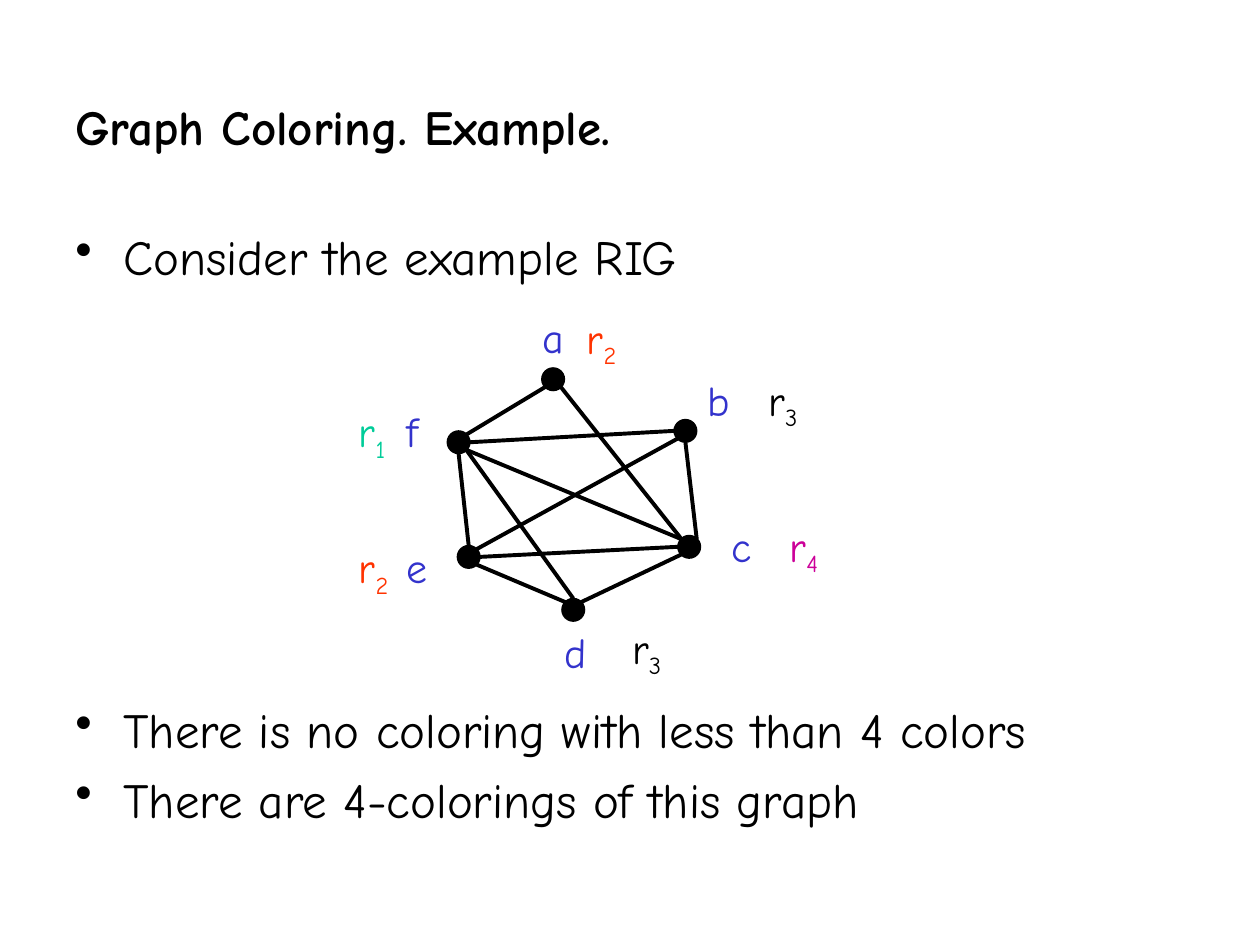
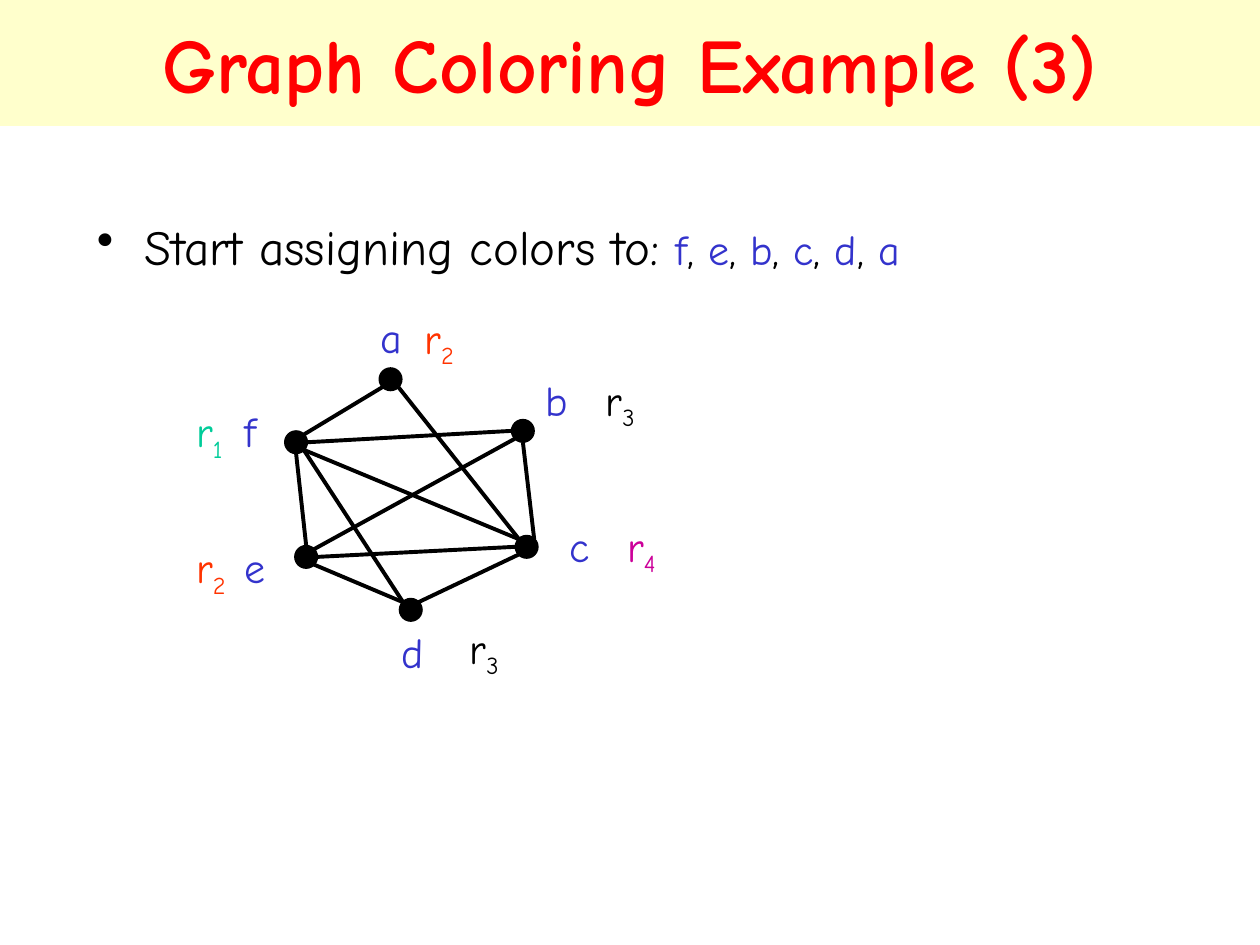
from collections import namedtuple

from pptx import Presentation
from pptx.dml.color import RGBColor
from pptx.enum.shapes import MSO_CONNECTOR as Connector, MSO_SHAPE as Shape
from pptx.enum.text import MSO_ANCHOR as Anchor, PP_ALIGN as Align
from pptx.oxml.ns import qn
from pptx.util import Inches, Pt
from lxml.etree import SubElement

FONT = "Comic Neue"
COLORS = {
    "ink": "000000", "node": "3333CC", "title": "FF0000", "band": "FFFFCC",
    "r1": "00CC99", "r2": "FF3300", "r3": "000000", "r4": "CC0099",
}
BODY_SIZE, LABEL_SIZE = 28, 24
DOT = 0.17
SITE_RADIUS = 0.09
DIAGONAL = 0.06
SITES = {
    "N": (0, -SITE_RADIUS), "S": (0, SITE_RADIUS),
    "W": (-SITE_RADIUS, 0), "E": (SITE_RADIUS, 0),
    "NW": (-DIAGONAL, -DIAGONAL), "NE": (DIAGONAL, -DIAGONAL),
    "SW": (-DIAGONAL, DIAGONAL), "SE": (DIAGONAL, DIAGONAL),
}

Box = namedtuple("Box", "left top width height")
Node = namedtuple("Node", "center letter_at register register_at")

NODES = {
    "a": Node((1.64, 0.59), (1.46, 0), "r2", (1.81, 0.01)),
    "b": Node((2.69, 1.0), (2.77, 0.5), "r3", (3.25, 0.5)),
    "c": Node((2.72, 1.92), (2.96, 1.66), "r4", (3.42, 1.66)),
    "d": Node((1.8, 2.42), (1.63, 2.5), "r3", (2.17, 2.47)),
    "e": Node((0.97, 2.0), (0.38, 1.83), "r2", (0, 1.83)),
    "f": Node((0.89, 1.09), (0.38, 0.75), "r1", (0, 0.75)),
}
EDGES = [
    ("c", "SW", "d", "NE"), ("a", "SE", "c", "NW"), ("b", "S", "c", "NE"),
    ("b", "W", "f", "E"), ("b", "SW", "e", "NE"), ("c", "W", "e", "E"),
    ("a", "SW", "f", "NE"), ("d", "NW", "e", "SE"), ("e", "N", "f", "S"),
    ("c", "NW", "f", "SE"),
]


def color(name):
    """Look up a named colour."""
    return RGBColor.from_string(COLORS[name])


def inches(*values):
    """Convert several numbers to lengths."""
    return [Inches(value) for value in values]


def add_span(para, text, size, color_name="ink", bold=False):
    """Append a styled run to a paragraph."""
    span = para.add_run()
    span.text = text
    span.font.name = FONT
    span.font.size = Pt(size)
    span.font.bold = bold
    span.font.color.rgb = color(color_name)
    return span


def add_text_box(page, box):
    """Add an empty wrapping text box and return its frame."""
    frame = page.shapes.add_textbox(*inches(*box)).text_frame
    frame.word_wrap = True
    return frame


def add_bullets(page, box, items):
    """Add bulleted paragraphs, each a list of (text, size, colour) spans."""
    frame = add_text_box(page, box)
    for index, item in enumerate(items):
        para = frame.add_paragraph() if index else frame.paragraphs[0]
        para.space_before = Pt(6.5)
        properties = para._p.get_or_add_pPr()
        properties.set("marL", str(Inches(0.38)))
        properties.set("indent", str(-Inches(0.38)))
        SubElement(properties, qn("a:buChar")).set("char", "•")
        for text, size, color_name in item:
            add_span(para, text, size, color_name)


def add_plain_title(page, box, text):
    """Add a left-aligned title without a band."""
    frame = add_text_box(page, box)
    frame.vertical_anchor = Anchor.MIDDLE
    add_span(frame.paragraphs[0], text, BODY_SIZE, bold=True)


def add_title_band(page, box, text):
    """Add a centred title on a coloured band."""
    band = page.shapes.add_shape(Shape.RECTANGLE, *inches(*box))
    band.shadow.inherit = False
    band.fill.solid()
    band.fill.fore_color.rgb = color("band")
    band.line.fill.background()
    band.text_frame.vertical_anchor = Anchor.MIDDLE
    para = band.text_frame.paragraphs[0]
    para.alignment = Align.CENTER
    add_span(para, text, 44, "title", bold=True)


def add_edge(page, box, start, start_site, end, end_site):
    """Draw a line between the rim points of two nodes."""
    points = []
    for name, site in ((start, start_site), (end, end_site)):
        x, y = NODES[name].center
        dx, dy = SITES[site]
        points += [box.left + x + dx, box.top + y + dy]
    edge = page.shapes.add_connector(Connector.STRAIGHT, *inches(*points))
    edge.line.color.rgb = color("ink")
    edge.line.width = Pt(2.25)
    SubElement(edge._element.spPr, qn("a:effectLst"))


def add_node(page, box, letter, node):
    """Draw a node with its letter and assigned register."""
    x, y = node.center
    dot = page.shapes.add_shape(
        Shape.OVAL, *inches(box.left + x - DOT / 2, box.top + y - DOT / 2, DOT, DOT))
    dot.shadow.inherit = False
    dot.fill.solid()
    dot.fill.fore_color.rgb = color("ink")
    dot.line.color.rgb = color("ink")
    dot.line.width = Pt(1.5)

    x, y = node.letter_at
    frame = add_text_box(page, Box(box.left + x, box.top + y, 0.4, 0.5))
    add_span(frame.paragraphs[0], letter, LABEL_SIZE, "node")

    x, y = node.register_at
    frame = add_text_box(page, Box(box.left + x, box.top + y, 0.5, 0.5))
    para = frame.paragraphs[0]
    name, number = node.register
    add_span(para, name, LABEL_SIZE, node.register)
    subscript = add_span(para, number, LABEL_SIZE, node.register)
    subscript._r.get_or_add_rPr().set("baseline", "-25000")


def add_graph(page, box, d_site):
    """Draw the colored interference graph, joining f to d at the given site."""
    for edge in EDGES + [("d", d_site, "f", "SE")]:
        add_edge(page, box, *edge)
    for letter, node in NODES.items():
        add_node(page, box, letter, node)


def build_example(page):
    """Build the slide that introduces the example."""
    add_plain_title(page, Box(0.5, 0.5, 8.83, 1), "Graph Coloring. Example.")
    add_bullets(page, Box(0.5, 1.75, 9.08, 0.67),
                [[("Consider the example RIG", BODY_SIZE, "ink")]])
    add_graph(page, Box(2.75, 2.42, 3.92, 3), "N")
    conclusions = ("There is no coloring with less than 4 colors",
                   "There are 4-colorings of this graph")
    add_bullets(page, Box(0.5, 5.5, 9.08, 1.08),
                [[(text, BODY_SIZE, "ink")] for text in conclusions])


def build_assignment(page):
    """Build the slide that assigns the colors."""
    spans = [("Start assigning colors to: ", BODY_SIZE, "ink")]
    for index, letter in enumerate("febcda"):
        if index:
            spans.append((", ", LABEL_SIZE, "ink"))
        spans.append((letter, LABEL_SIZE, "node"))
    add_bullets(page, Box(0.67, 1.67, 9.08, 0.75), [spans])
    add_graph(page, Box(1.46, 2.42, 3.92, 3), "NW")
    add_title_band(page, Box(0, 0, 10, 1), "Graph Coloring Example (3)")


def main():
    """Build and save the deck."""
    deck = Presentation()
    deck.slide_width, deck.slide_height = inches(10, 7.5)
    for build in (build_example, build_assignment):
        build(deck.slides.add_slide(deck.slide_layouts[6]))
    deck.save("out.pptx")


if __name__ == "__main__":
    main()
